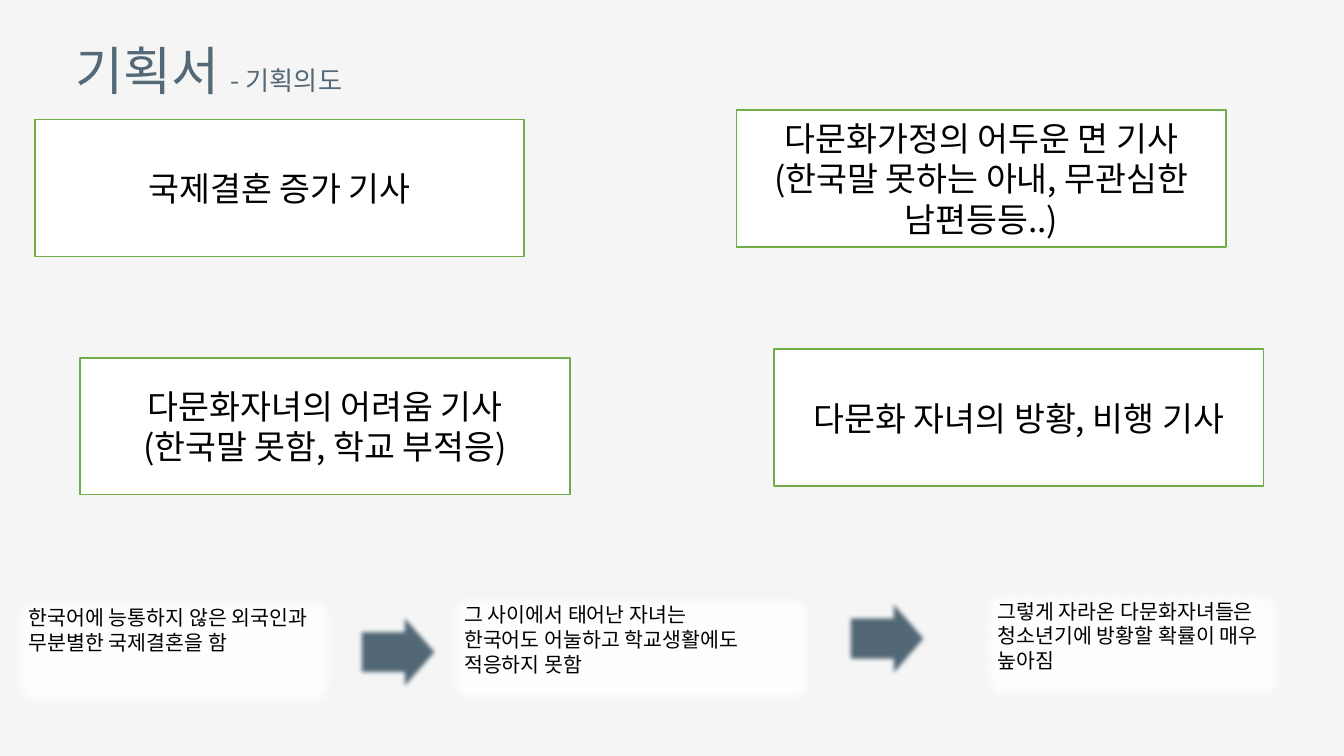
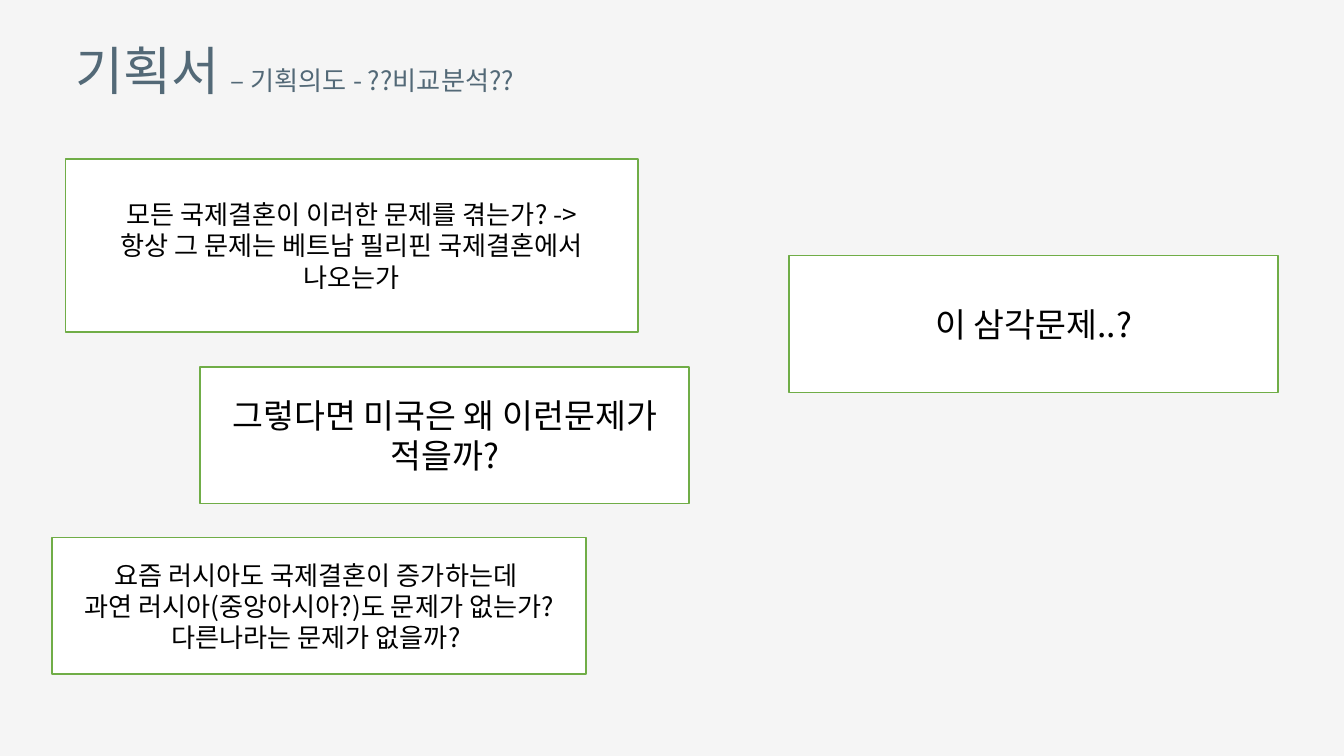
from lxml import etree
from pptx import Presentation
from pptx.dml.color import RGBColor
from pptx.enum.shapes import MSO_SHAPE
from pptx.enum.text import MSO_ANCHOR, MSO_AUTO_SIZE, PP_ALIGN
from pptx.oxml.ns import qn
from pptx.util import Cm, Pt

RECT, ROUNDED, ARROW = MSO_SHAPE.RECTANGLE, MSO_SHAPE.ROUNDED_RECTANGLE, MSO_SHAPE.RIGHT_ARROW
TOP, MIDDLE = MSO_ANCHOR.TOP, MSO_ANCHOR.MIDDLE
LEFT, CENTER = PP_ALIGN.LEFT, PP_ALIGN.CENTER

FONT = "Noto Sans CJK KR"
COLORS = {"background": "F5F5F5", "slate": "536977", "green": "70AD47",
          "white": "FFFFFF", "black": "000000"}
HEADING = "기획서 "
TITLE_LEFT, TITLE_TOP, TITLE_HEIGHT = 1.42, 0.94, 1.12
CARD_SIZE = (9.25, 2.59)
NOTE_HEIGHT = 2.13
ARROW_SIZE = (1.6, 1.85)

# Positions and sizes are in centimetres; cards are (left, top), size, text size, lines.
SLIDES = [
    {
        "subtitle": "- 기획의도", "title_width": 5.56,
        "cards": [
            ((0.66, 2.26), CARD_SIZE, 18, ["국제결혼 증가 기사"]),
            ((13.92, 2.08), CARD_SIZE, 18,
             ["다문화가정의 어두운 면 기사", "(한국말 못하는 아내, 무관심한 남편등등..)"]),
            ((1.52, 6.76), CARD_SIZE, 18,
             ["다문화자녀의 어려움 기사", "(한국말 못함, 학교 부적응)"]),
            ((14.63, 6.6), CARD_SIZE, 18, ["다문화 자녀의 방황, 비행 기사"]),
        ],
        "notes": [
            ((0.23, 11.25), 6.12, ["한국어에 능통하지 않은 외국인과 무분별한 국제결혼을 함"]),
            ((8.46, 11.2), 6.93,
             ["그 사이에서 태어난 자녀는", "한국어도 어눌하고 학교생활에도 적응하지 못함"]),
            ((18.54, 11.13), 5.74,
             ["그렇게 자라온 다문화자녀들은 청소년기에 방황할 확률이 매우 높아짐"]),
        ],
        "arrows": [(6.76, 11.4), (16, 11.15)],
    },
    {
        "subtitle": "– 기획의도 - ??비교분석??", "title_width": 11.61,
        "cards": [
            ((1.24, 3), (10.82, 3.28), 14,
             ["모든 국제결혼이 이러한 문제를 겪는가? ->",
              "항상 그 문제는 베트남 필리핀 국제결혼에서 나오는가"]),
            ((0.99, 10.16), (10.08, 2.59), 14,
             ["요즘 러시아도 국제결혼이 증가하는데 ",
              "과연 러시아(중앙아시아?)도 문제가 없는가?", "다른나라는 문제가 없을까? "]),
            ((3.78, 6.93), CARD_SIZE, 18, ["그렇다면 미국은 왜 이런문제가 적을까?"]),
            ((14.91, 4.83), CARD_SIZE, 18, ["이 삼각문제..?"]),
        ],
        "notes": [],
        "arrows": [],
    },
]


def color(name):
    return RGBColor.from_string(COLORS[name])


def apply(target, **values):
    for attribute, value in values.items():
        setattr(target, attribute, value)


def add_run(paragraph, text, size, color_name):
    run = paragraph.add_run()
    run.text = text
    apply(run.font, size=Pt(size), name=FONT)
    run.font.color.rgb = color(color_name)
    east_asian = etree.SubElement(run.font._element, qn("a:ea"))
    east_asian.set("typeface", FONT)


def add_figure(slide, preset, position, size, fill, line=None):
    figure = slide.shapes.add_shape(preset, *map(Cm, position + size))
    figure.shadow.inherit = False
    figure.fill.solid()
    figure.fill.fore_color.rgb = color(fill)
    if line:
        figure.line.color.rgb = color(line)
        figure.line.width = Pt(1)
    else:
        figure.line.fill.background()
    return figure


def soften_edges(figure, radius):
    effects = figure._element.spPr.find(qn("a:effectLst"))
    etree.SubElement(effects, qn("a:softEdge")).set("rad", str(Pt(radius)))


def write_lines(figure, lines, size, alignment, anchor):
    frame = figure.text_frame
    apply(frame, word_wrap=True, vertical_anchor=anchor)
    for index, line in enumerate(lines):
        paragraph = frame.add_paragraph() if index else frame.paragraphs[0]
        paragraph.alignment = alignment
        add_run(paragraph, line, size, "black")


def write_title(slide, subtitle, width):
    title = slide.shapes.title
    apply(title, left=Cm(TITLE_LEFT), top=Cm(TITLE_TOP), width=Cm(width), height=Cm(TITLE_HEIGHT))
    apply(title.text_frame, margin_left=0, margin_top=0, margin_right=0, margin_bottom=0,
          word_wrap=False, auto_size=MSO_AUTO_SIZE.NONE, vertical_anchor=TOP)
    paragraph = title.text_frame.paragraphs[0]
    apply(paragraph, alignment=LEFT, line_spacing=Pt(27.5))
    add_run(paragraph, HEADING, 28, "slate")
    add_run(paragraph, subtitle, 14, "slate")


def build_slide(deck, content):
    slide = deck.slides.add_slide(deck.slide_layouts.get_by_name("Title Only"))
    write_title(slide, content["subtitle"], content["title_width"])
    for position, size, text_size, lines in content["cards"]:
        card = add_figure(slide, RECT, position, size, "white", "green")
        write_lines(card, lines, text_size, CENTER, MIDDLE)
    for position, width, lines in content["notes"]:
        note = add_figure(slide, ROUNDED, position, (width, NOTE_HEIGHT), "white")
        note.adjustments[0] = 0.1
        soften_edges(note, 5)
        write_lines(note, lines, 11, LEFT, TOP)
    for position in content["arrows"]:
        soften_edges(add_figure(slide, ARROW, position, ARROW_SIZE, "slate"), 2.5)


def main():
    deck = Presentation()
    apply(deck, slide_width=Cm(25.4), slide_height=Cm(14.29))
    background = deck.slide_master.background.fill
    background.solid()
    background.fore_color.rgb = color("background")
    for content in SLIDES:
        build_slide(deck, content)
    deck.save("out.pptx")


if __name__ == "__main__":
    main()
